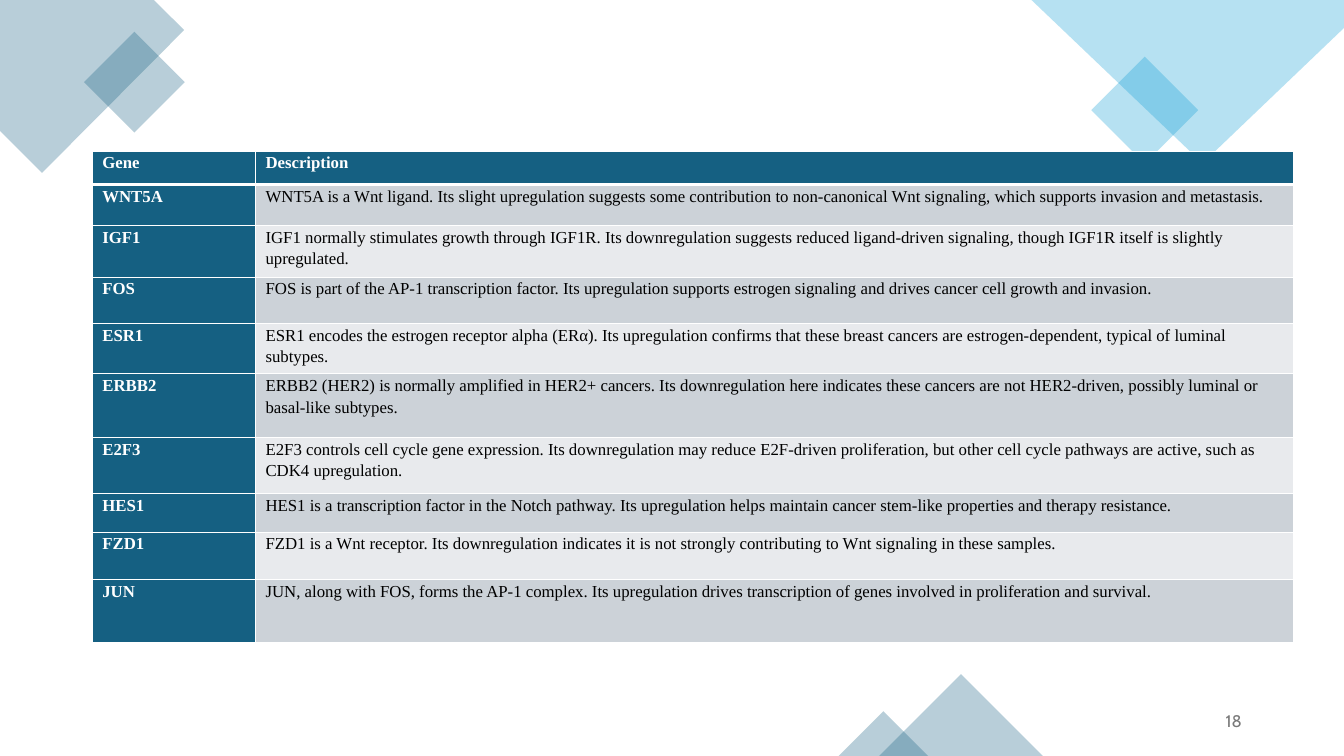
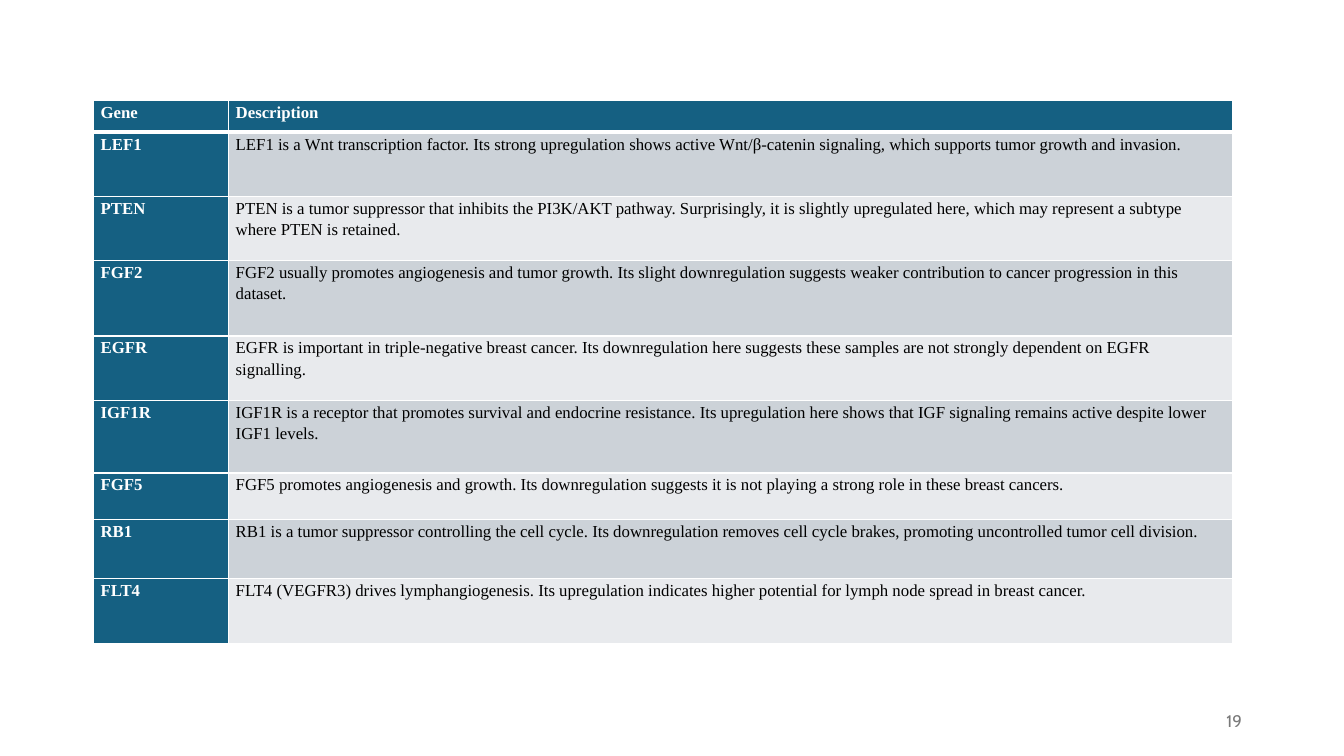
"""Build two slides that describe genes in tables."""
import pptx
import pptx.dml.color
import pptx.enum.shapes
import pptx.enum.text
import pptx.oxml
import pptx.oxml.ns
import pptx.util
from lxml import etree

Pt = pptx.util.Pt
RGBColor = pptx.dml.color.RGBColor
Preset = pptx.enum.shapes.MSO_SHAPE

TEAL = RGBColor(0x15, 0x60, 0x82)
SKY = RGBColor(0x0F, 0x9E, 0xD5)
BAND_DARK = RGBColor(0xCC, 0xD2, 0xD8)
BAND_LIGHT = RGBColor(0xE8, 0xEA, 0xED)
GRAY = RGBColor(0x79, 0x79, 0x79)
WHITE = RGBColor(0xFF, 0xFF, 0xFF)
BLACK = RGBColor(0x00, 0x00, 0x00)

FIRST_GENES = [
    ("WNT5A", 29.5, "WNT5A is a Wnt ligand. Its slight upregulation suggests some contribution to non-canonical Wnt signaling, which supports invasion and metastasis."),
    ("IGF1", 36.7, "IGF1 normally stimulates growth through IGF1R. Its downregulation suggests reduced ligand-driven signaling, though IGF1R itself is slightly upregulated."),
    ("FOS", 33.1, "FOS is part of the AP-1 transcription factor. Its upregulation supports estrogen signaling and drives cancer cell growth and invasion."),
    ("ESR1", 36, "ESR1 encodes the estrogen receptor alpha (ERα). Its upregulation confirms that these breast cancers are estrogen-dependent, typical of luminal subtypes."),
    ("ERBB2", 45.4, "ERBB2 (HER2) is normally amplified in HER2+ cancers. Its downregulation here indicates these cancers are not HER2-driven, possibly luminal or basal-like subtypes."),
    ("E2F3", 40.3, "E2F3 controls cell cycle gene expression. Its downregulation may reduce E2F-driven proliferation, but other cell cycle pathways are active, such as CDK4 upregulation."),
    ("HES1", 27.4, "HES1 is a transcription factor in the Notch pathway. Its upregulation helps maintain cancer stem-like properties and therapy resistance."),
    ("FZD1", 33.8, "FZD1 is a Wnt receptor. Its downregulation indicates it is not strongly contributing to Wnt signaling in these samples."),
    ("JUN", 45.4, "JUN, along with FOS, forms the AP-1 complex. Its upregulation drives transcription of genes involved in proliferation and survival."),
]
SECOND_GENES = [
    ("LEF1", 46.1, "LEF1 is a Wnt transcription factor. Its strong upregulation shows active Wnt/β-catenin signaling, which supports tumor growth and invasion."),
    ("PTEN", 45.4, "PTEN is a tumor suppressor that inhibits the PI3K/AKT pathway. Surprisingly, it is slightly upregulated here, which may represent a subtype where PTEN is retained."),
    ("FGF2", 54, "FGF2 usually promotes angiogenesis and tumor growth. Its slight downregulation suggests weaker contribution to cancer progression in this dataset."),
    ("EGFR", 46.1, "EGFR is important in triple-negative breast cancer. Its downregulation here suggests these samples are not strongly dependent on EGFR signalling."),
    ("IGF1R", 51.8, "IGF1R is a receptor that promotes survival and endocrine resistance. Its upregulation here shows that IGF signaling remains active despite lower IGF1 levels."),
    ("FGF5", 33.1, "FGF5 promotes angiogenesis and growth. Its downregulation suggests it is not playing a strong role in these breast cancers."),
    ("RB1", 42.5, "RB1 is a tumor suppressor controlling the cell cycle. Its downregulation removes cell cycle brakes, promoting uncontrolled tumor cell division."),
    ("FLT4", 46.1, "FLT4 (VEGFR3) drives lymphangiogenesis. Its upregulation indicates higher potential for lymph node spread in breast cancer."),
]


class GeneDeck:
    """Hold the deck style and the current page."""

    body_font = "Times New Roman"
    number_font = "Cabin"
    text_size = Pt(12)

    def __init__(self):
        self.deck = pptx.Presentation()
        self.deck.slide_width = Pt(960)
        self.deck.slide_height = Pt(540)
        self.page = None

    def new_page(self):
        """Start a blank page."""
        self.page = self.deck.slides.add_slide(self.deck.slide_layouts[6])

    def tint(self, shape, color):
        """Fill a shape with a see-through colour."""
        shape.shadow.inherit = False
        shape.line.fill.background()
        shape.fill.solid()
        shape.fill.fore_color.rgb = color
        shade = shape.element.spPr.find(".//" + pptx.oxml.ns.qn("a:srgbClr"))
        etree.SubElement(shade, pptx.oxml.ns.qn("a:alpha"), val="30000")

    def preset(self, kind, color, left, top, width, height):
        """Add a tinted preset shape."""
        shape = self.page.shapes.add_shape(kind, Pt(left), Pt(top), Pt(width), Pt(height))
        self.tint(shape, color)

    def polygon(self, color, points):
        """Add a tinted closed outline."""
        corners = [(Pt(x), Pt(y)) for x, y in points]
        builder = self.page.shapes.build_freeform(*corners[0])
        builder.add_line_segments(corners[1:], close=True)
        self.tint(builder.convert_to_shape(), color)

    def add_span(self, para, text, font, color, bold=False):
        """Add one formatted run."""
        span = para.add_run()
        span.text = text
        span.font.name = font
        span.font.size = self.text_size
        span.font.bold = bold
        span.font.color.rgb = color

    def borders(self, cell, top, bottom):
        """Draw white lines around a cell."""
        properties = cell._tc.get_or_add_tcPr()
        for side, width in (("L", 1), ("R", 1), ("T", top), ("B", bottom)):
            properties.append(pptx.oxml.parse_xml(
                f'<a:ln{side} {pptx.oxml.ns.nsdecls("a")} w="{Pt(width)}">'
                f'<a:solidFill><a:srgbClr val="{WHITE}"/></a:solidFill></a:ln{side}>'))

    def cell(self, cell, text, inset, row, is_head):
        """Format and fill one table cell."""
        self.borders(cell, 3 if row == 1 else 1, 3 if row == 0 else 1)
        cell.fill.solid()
        band = BAND_DARK if row % 2 else BAND_LIGHT
        cell.fill.fore_color.rgb = TEAL if is_head else band
        cell.margin_left = cell.margin_right = Pt(inset)
        cell.margin_top = cell.margin_bottom = 0
        para = cell.text_frame.paragraphs[0]
        para.line_spacing = 1.15
        para.space_after = Pt(8)
        self.add_span(para, text, self.body_font, WHITE if is_head else BLACK, is_head)

    def gene_table(self, left, top, widths, head_height, inset, genes):
        """Add a table with one row for each gene."""
        rows = [("Gene", head_height, "Description")] + genes
        total = sum(height for _, height, _ in rows)
        table = self.page.shapes.add_table(
            len(rows), 2, Pt(left), Pt(top), Pt(sum(widths)), Pt(total)).table
        table.horz_banding = False
        for column, width in zip(table.columns, widths):
            column.width = Pt(width)
        for row, (gene, height, description) in enumerate(rows):
            table.rows[row].height = Pt(height)
            self.cell(table.cell(row, 0), gene, inset, row, True)
            self.cell(table.cell(row, 1), description, inset, row, row == 0)

    def page_number(self, number):
        """Put the page number at the lower right."""
        box = self.page.shapes.add_textbox(Pt(678.2), Pt(500.4), Pt(216), Pt(28.8))
        box.text_frame.word_wrap = True
        box.text_frame.vertical_anchor = pptx.enum.text.MSO_ANCHOR.MIDDLE
        para = box.text_frame.paragraphs[0]
        para.alignment = pptx.enum.text.PP_ALIGN.RIGHT
        self.add_span(para, str(number), self.number_font, GRAY)


def main():
    """Build and save both pages."""
    show = GeneDeck()

    show.new_page()
    show.polygon(TEAL, [(0, 0), (110, 0), (131.5, 21.5), (30, 123.5), (0, 93.5)])
    show.preset(Preset.DIAMOND, TEAL, 60, 22.7, 72, 72)
    show.preset(Preset.DIAMOND, SKY, 779.5, 40.5, 76.4, 76.4)
    show.polygon(SKY, [(736.8, 0), (960, 0), (960, 20), (859, 116.6)])
    show.preset(Preset.ISOSCELES_TRIANGLE, TEAL, 628, 481.5, 117, 58.5)
    show.preset(Preset.ISOSCELES_TRIANGLE, TEAL, 599, 508, 64, 32)
    show.gene_table(65.9, 108, (116.6, 741.8), 23.8, 7.2, FIRST_GENES)
    show.page_number(18)

    show.new_page()
    show.gene_table(66.7, 72, (96.5, 717.1), 22.5, 5.2, SECOND_GENES)
    show.page_number(19)

    show.deck.save("out.pptx")


if __name__ == "__main__":
    main()
